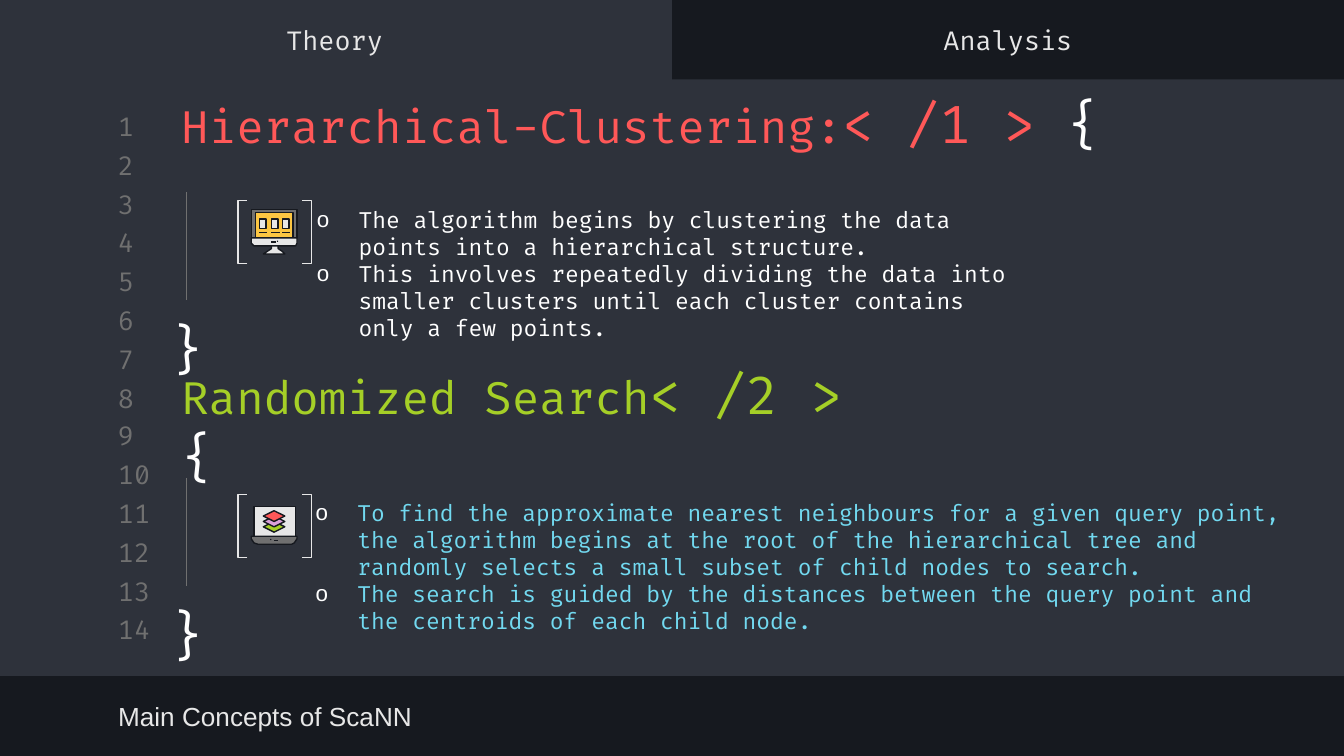
from lxml.etree import SubElement as Sub
from pptx import Presentation
from pptx.dml.color import RGBColor as RGB
from pptx.enum.shapes import MSO_CONNECTOR as Conn, MSO_SHAPE as Form
from pptx.enum.text import MSO_ANCHOR as Anchor, PP_ALIGN as Align
from pptx.oxml.ns import qn
from pptx.util import Pt

PX = 9144
DARK = RGB(0x16, 0x19, 0x1F)
PANEL = RGB(0x2E, 0x32, 0x3B)
GREY = RGB(0x70, 0x70, 0x70)
LIGHT = RGB(0xE7, 0xE7, 0xE7)
WHITE = RGB(0xFF, 0xFF, 0xFF)
RED = RGB(0xFF, 0x58, 0x58)
GREEN = RGB(0xA5, 0xCF, 0x27)
CYAN = RGB(0x72, 0xD9, 0xF0)
GOLD = RGB(0xFC, 0xC6, 0x42)
PINK = RGB(0xDB, 0xA0, 0xDB)
CODE, SANS = "Fira Code", "Arial"


class Deck:
    frame = {"word_wrap": True, "vertical_anchor": Anchor.MIDDLE,
             **{f"margin_{side}": 10 * PX for side in ("left", "right", "top", "bottom")}}

    def __init__(self, wide):
        self.show = Presentation()
        self.show.slide_width = wide * PX
        self.show.slide_height = wide * PX * 9 // 16
        self.slide = self.show.slides.add_slide(self.show.slide_layouts[6])
        self.items = self.slide.shapes
        back = self.slide.background.fill
        back.solid()
        back.fore_color.rgb = DARK

    def paint(self, shape, fill, line=None, width=0.75):
        shape.shadow.inherit = False
        if fill is None:
            shape.fill.background()
        else:
            shape.fill.solid()
            shape.fill.fore_color.rgb = fill
        if line is None:
            shape.line.fill.background()
        else:
            shape.line.color.rgb = line
            shape.line.width = Pt(width)

    def box(self, form, at, fill, line=None):
        shape = self.items.add_shape(form, *(n * PX for n in at))
        self.paint(shape, fill, line)
        return shape

    def bracket(self, form, at):
        self.box(form, at, None, LIGHT).adjustments[0] = 0

    def poly(self, points, fill, line=DARK):
        path = self.items.build_freeform(*points[0], scale=PX)
        path.add_line_segments(points[1:], close=True)
        self.paint(path.convert_to_shape(), fill, line)

    def line(self, x, y, end, low, color):
        rule = self.items.add_connector(Conn.STRAIGHT, *(n * PX for n in (x, y, end, low)))
        rule.line.color.rgb = color
        rule.line.width = Pt(0.75)
        Sub(rule._element.spPr, qn("a:effectLst"))

    def text(self, at, paras, align=Align.LEFT, bullet=False, **extra):
        frame = self.items.add_textbox(*(n * PX for n in at)).text_frame
        for key, value in {**self.frame, **extra}.items():
            setattr(frame, key, value)
        for i, runs in enumerate(paras):
            para = frame.add_paragraph() if i else frame.paragraphs[0]
            para.alignment = align
            if bullet:
                self.bullet(para)
            for words, size, color, name in runs:
                run = para.add_run()
                run.text = words
                run.font.color.rgb = color
                for key, value in {"size": Pt(size), "name": name}.items():
                    setattr(run.font, key, value)

    def bullet(self, para):
        props = para._p.get_or_add_pPr()
        props.set("marL", str(31 * PX))
        props.set("indent", str(-31 * PX))
        Sub(Sub(props, qn("a:buClr")), qn("a:srgbClr"), val=str(WHITE))
        Sub(props, qn("a:buFont"), typeface=SANS)
        Sub(props, qn("a:buChar"), char="o")

    def title(self, at, name, mark, color):
        self.text(at, [[(name, 24, color, CODE), (mark, 28, color, CODE), ("{", 28, WHITE, CODE)]])

    def block(self, at, color, points):
        self.text(at, [[(words, 12, color, CODE)] for words in points], bullet=True)

    def scope(self, top):
        self.line(139, top, 139, top + 80, GREY)
        self.text((112, top + 82, 55, 67), [[("}", 28, WHITE, CODE)]],
                  Align.CENTER, vertical_anchor=Anchor.TOP)

    def monitor(self):
        self.poly([(202, 182), (207, 182), (207, 185), (210, 187), (212, 189),
                   (196, 189), (199, 187), (202, 185)], LIGHT)
        self.box(Form.RECTANGLE, (187, 156, 34, 22), GREY, DARK)
        self.box(Form.RECTANGLE, (190, 158, 28, 19), GOLD, DARK)
        self.poly([(187, 177), (221, 177), (221, 181), (220, 183),
                   (189, 183), (187, 181)], LIGHT)
        for x in (193, 202, 210):
            self.box(Form.RECTANGLE, (x, 163, 5, 7), LIGHT, DARK)
            self.line(x, 173, x + 6, 173, DARK)
        self.line(202, 180, 205, 180, DARK)
        self.box(Form.OVAL, (206, 179, 1, 1), DARK)

    def laptop(self):
        self.box(Form.RECTANGLE, (189, 377, 31, 22), LIGHT, DARK)
        for y, half, color in ((392, 4, GREEN), (388, 4, PINK), (384, 4, RED)):
            self.poly([(204, y - half), (212, y), (204, y + half), (196, y)], color)
        self.poly([(187, 399), (221, 399), (221, 401), (219, 404), (217, 405),
                   (192, 405), (189, 404), (187, 401)], GREY)
        self.box(Form.OVAL, (201, 401, 1, 1), DARK)
        self.line(204, 402, 207, 402, DARK)


def main():
    deck = Deck(1000)
    deck.box(Form.RECTANGLE, (0, 59, 1000, 444), PANEL)
    deck.box(Form.RECTANGLE, (0, 0, 500, 65), PANEL)
    for i in range(14):
        deck.text((78, 82 + round(28.8 * i), 47, 24), [[(str(i + 1), 14, GREY, CODE)]])
    for x, name in ((-1, "Theory"), (500, "Analysis")):
        deck.text((x, 10, 500, 39), [[(name, 14, LIGHT, CODE)]], Align.CENTER)

    deck.block((226, 129, 534, 149), WHITE, [
        "The algorithm begins by clustering the data points into a hierarchical structure.",
        "This involves repeatedly dividing the data into smaller clusters until each cluster "
        "contains only a few points."])
    deck.block((225, 346, 749, 151), CYAN, [
        "To find the approximate nearest neighbours for a given query point, the algorithm begins "
        "at the root of the hierarchical tree and randomly selects a small subset of child nodes "
        "to search.",
        "The search is guided by the distances between the query point and the centroids of each "
        "child node."])
    deck.title((125, 278, 534, 76), "Randomized Search", "< /2 > ", GREEN)
    deck.title((125, 54, 784, 75), "Hierarchical-Clustering:", "< /1 > ", RED)

    deck.monitor()
    deck.laptop()
    deck.text((78, 513, 532, 39), [[("Main Concepts of ScaNN", 14, LIGHT, SANS)]])
    for y in (149, 368):
        deck.bracket(Form.RIGHT_BRACKET, (225, y, 7, 47))
        deck.bracket(Form.LEFT_BRACKET, (177, y, 7, 47))
    for top in (356, 143):
        deck.scope(top)
    deck.show.save("out.pptx")


if __name__ == "__main__":
    main()
